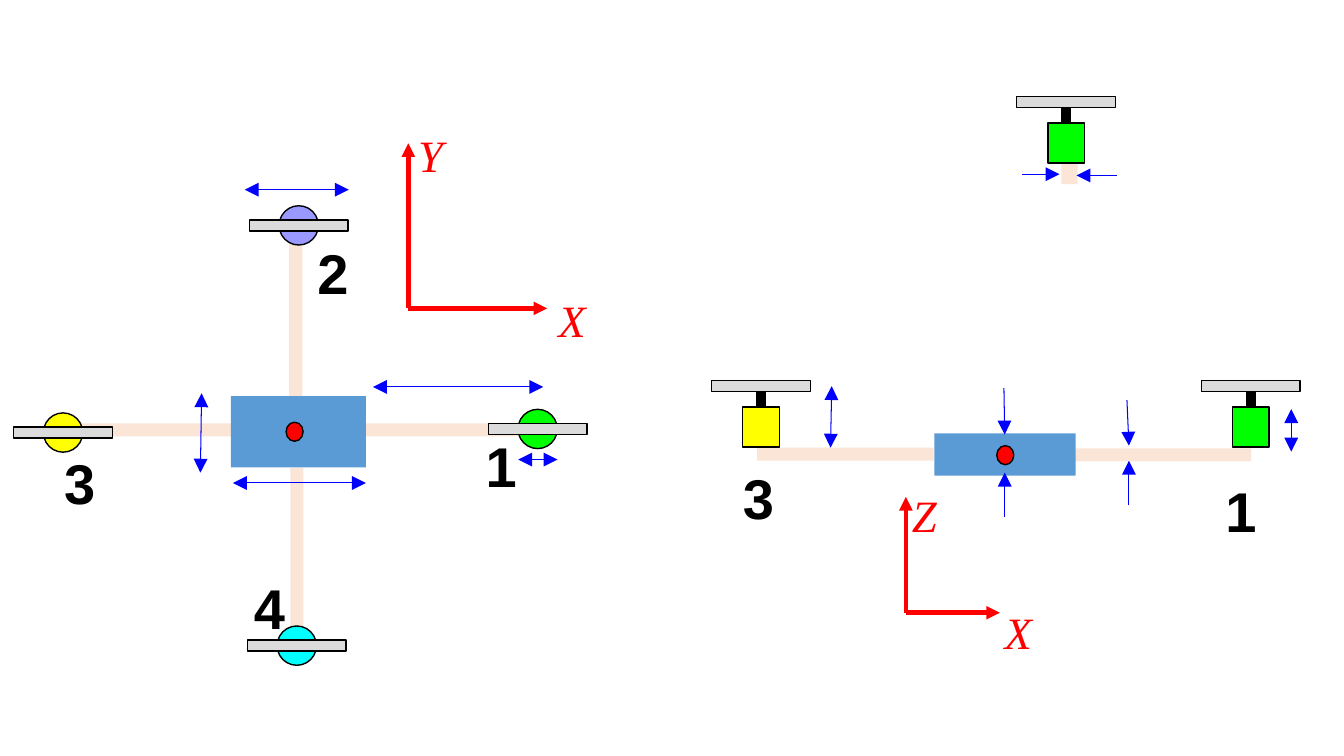
from dataclasses import dataclass

from lxml.etree import SubElement
from pptx import Presentation
from pptx.dml.color import RGBColor
from pptx.enum.shapes import MSO_CONNECTOR, MSO_SHAPE
from pptx.enum.text import MSO_ANCHOR
from pptx.oxml.ns import qn
from pptx.slide import Slide
from pptx.util import Cm, Pt

COLORS = {
    "body": "5B9BD5", "arm": "FBE5D6", "blade": "DBDBDB", "black": "000000",
    "green": "00FF00", "violet": "9999FF", "yellow": "FFFF00", "cyan": "00FFFF",
    "measure": "0000FF", "red": "FF0000",
}
ARM_LENGTH, ARM_WIDTH = 4.45, 0.33
BLADE_WIDTH, BLADE_HEIGHT = 2.49, 0.28
ROTOR_DIAMETER = 0.99
MOTOR_WIDTH, MOTOR_HEIGHT, MAST_HEIGHT, BLADE_RISE = 0.92, 1.01, 0.51, 0.67
DOT_WIDTH, DOT_HEIGHT = 0.43, 0.48


@dataclass(frozen=True)
class Rotor:
    """Rotor seen from above, given by its centre."""
    x: float
    y: float
    color: str


@dataclass(frozen=True)
class Motor:
    """Motor seen from the side, given by its centre line and top edge."""
    x: float
    top: float
    color: str


@dataclass(frozen=True)
class Measure:
    x1: float
    y1: float
    x2: float
    y2: float
    double: bool = False


@dataclass(frozen=True)
class Label:
    text: str
    left: float
    top: float


@dataclass(frozen=True)
class Axes:
    x: float
    y: float
    right: float
    top: float
    labels: tuple[Label, Label]


ARMS = [
    (7.32, 11.79, ARM_WIDTH, ARM_LENGTH),
    (7.29, 5.56, ARM_WIDTH, ARM_LENGTH),
    (9.22, 10.67, ARM_LENGTH, ARM_WIDTH),
    (1.37, 10.67, ARM_LENGTH, ARM_WIDTH),
    (27.08, 11.3, ARM_LENGTH, ARM_WIDTH),
    (19.08, 11.28, ARM_LENGTH, ARM_WIDTH),
    (26.75, 4.11, 0.41, 0.53),
]
BODIES = [(5.82, 9.98, 3.4, 1.8), (23.55, 10.92, 3.56, 1.07)]
CENTRE_DOTS = [(7.21, 10.64), (25.12, 11.23)]
ROTORS = [
    Rotor(13.55, 10.81, "green"),
    Rotor(7.53, 5.68, "violet"),
    Rotor(1.59, 10.9, "yellow"),
    Rotor(7.48, 16.27, "cyan"),
]
MOTORS = [
    Motor(31.52, 10.26, "green"),
    Motor(19.18, 10.26, "yellow"),
    Motor(26.87, 3.1, "green"),
]
MEASURES = [
    Measure(13.06, 11.58, 14.05, 11.58, double=True),
    Measure(5.87, 12.17, 9.22, 12.17, double=True),
    Measure(5.08, 9.91, 5.05, 11.91, double=True),
    Measure(6.17, 4.78, 8.79, 4.78, double=True),
    Measure(9.4, 9.75, 13.69, 9.75, double=True),
    Measure(32.54, 10.31, 32.54, 11.38, double=True),
    Measure(20.96, 9.73, 20.93, 11.28, double=True),
    Measure(25.3, 9.78, 25.32, 10.95),
    Measure(25.32, 13.03, 25.32, 11.91),
    Measure(28.4, 10.08, 28.45, 11.23),
    Measure(28.45, 12.73, 28.45, 11.61),
    Measure(25.76, 4.39, 26.7, 4.39),
    Measure(28.14, 4.42, 27.13, 4.42),
]
AXES = [
    Axes(10.29, 7.77, 13.79, 3.61, (Label("X", 13.82, 7.26), Label("Y", 10.29, 3.1))),
    Axes(22.83, 15.44, 25.2, 12.52, (Label("X", 25.07, 15.11), Label("Z", 22.73, 12.17))),
]
ROTOR_NUMBERS = [
    Label("1", 11.99, 10.74), Label("2", 7.75, 5.89),
    Label("3", 1.37, 11.18), Label("4", 6.15, 14.33),
    Label("3", 18.47, 11.56), Label("1", 30.63, 11.89),
]


def add_solid(slide: Slide, kind: MSO_SHAPE, left: float, top: float, width: float,
              height: float, color: str, outlined: bool = True) -> None:
    shape = slide.shapes.add_shape(kind, Cm(left), Cm(top), Cm(width), Cm(height))
    shape.shadow.inherit = False
    shape.fill.solid()
    shape.fill.fore_color.rgb = RGBColor.from_string(COLORS[color])
    if outlined:
        shape.line.color.rgb = RGBColor.from_string(COLORS["black"])
        shape.line.width = Pt(1)
    else:
        shape.line.fill.background()


def add_line(slide: Slide, start: tuple[float, float], end: tuple[float, float], color: str,
             width: float, heads: tuple[str, ...] = (), head_size: str = "med") -> None:
    """Draw a line; heads lists its arrow ends, headEnd (start) before tailEnd."""
    connector = slide.shapes.add_connector(
        MSO_CONNECTOR.STRAIGHT, *(Cm(value) for value in (*start, *end)))
    connector.line.color.rgb = RGBColor.from_string(COLORS[color])
    connector.line.width = Pt(width)
    line_element = connector.line._get_or_add_ln()
    for head in heads:
        SubElement(line_element, qn(f"a:{head}"), type="triangle", w=head_size, len=head_size)
    SubElement(connector._element.spPr, qn("a:effectLst"))


def add_label(slide: Slide, label: Label, width: float, height: float, font_name: str,
              size: int, color: str, bold: bool = False, italic: bool = False) -> None:
    box = slide.shapes.add_textbox(Cm(label.left), Cm(label.top), Cm(width), Cm(height))
    box.text_frame.word_wrap = False
    box.text_frame.vertical_anchor = MSO_ANCHOR.TOP
    paragraph = box.text_frame.paragraphs[0]
    paragraph.text = label.text
    paragraph.font.name = font_name
    paragraph.font.size = Pt(size)
    paragraph.font.bold = bold
    paragraph.font.italic = italic
    paragraph.font.color.rgb = RGBColor.from_string(COLORS[color])


def add_blade(slide: Slide, x: float, top: float) -> None:
    add_solid(slide, MSO_SHAPE.RECTANGLE, x - BLADE_WIDTH / 2, top,
              BLADE_WIDTH, BLADE_HEIGHT, "blade")


def add_rotor(slide: Slide, rotor: Rotor) -> None:
    radius = ROTOR_DIAMETER / 2
    add_solid(slide, MSO_SHAPE.OVAL, rotor.x - radius, rotor.y - radius,
              ROTOR_DIAMETER, ROTOR_DIAMETER, rotor.color)
    add_blade(slide, rotor.x, rotor.y - BLADE_HEIGHT / 2)


def add_motor(slide: Slide, motor: Motor) -> None:
    add_solid(slide, MSO_SHAPE.RECTANGLE, motor.x - MOTOR_WIDTH / 2, motor.top,
              MOTOR_WIDTH, MOTOR_HEIGHT, motor.color)
    add_line(slide, (motor.x, motor.top - MAST_HEIGHT), (motor.x, motor.top), "black", 7.25)
    add_blade(slide, motor.x, motor.top - BLADE_RISE)


def add_axes(slide: Slide, axes: Axes) -> None:
    for end in ((axes.right, axes.y), (axes.x, axes.top)):
        add_line(slide, (axes.x, axes.y), end, "red", 3.25, ("tailEnd",))
    for label in axes.labels:
        add_label(slide, label, 1.17, 1.63, "Times New Roman", 32, "red", italic=True)


def main() -> None:
    presentation = Presentation()
    presentation.slide_width, presentation.slide_height = Cm(33.87), Cm(19.05)
    slide = presentation.slides.add_slide(presentation.slide_layouts[6])
    for color, frames in (("arm", ARMS), ("body", BODIES)):
        for frame in frames:
            add_solid(slide, MSO_SHAPE.RECTANGLE, *frame, color, outlined=False)
    for rotor in ROTORS:
        add_rotor(slide, rotor)
    for motor in MOTORS:
        add_motor(slide, motor)
    for measure in MEASURES:
        heads = ("headEnd", "tailEnd") if measure.double else ("tailEnd",)
        add_line(slide, (measure.x1, measure.y1), (measure.x2, measure.y2),
                 "measure", 0.75, heads, "lg")
    for left, top in CENTRE_DOTS:
        add_solid(slide, MSO_SHAPE.OVAL, left, top, DOT_WIDTH, DOT_HEIGHT, "red")
    for axes in AXES:
        add_axes(slide, axes)
    for number in ROTOR_NUMBERS:
        add_label(slide, number, 1.3, 1.96, "Arial", 40, "black", bold=True)
    presentation.save("out.pptx")


if __name__ == "__main__":
    main()
